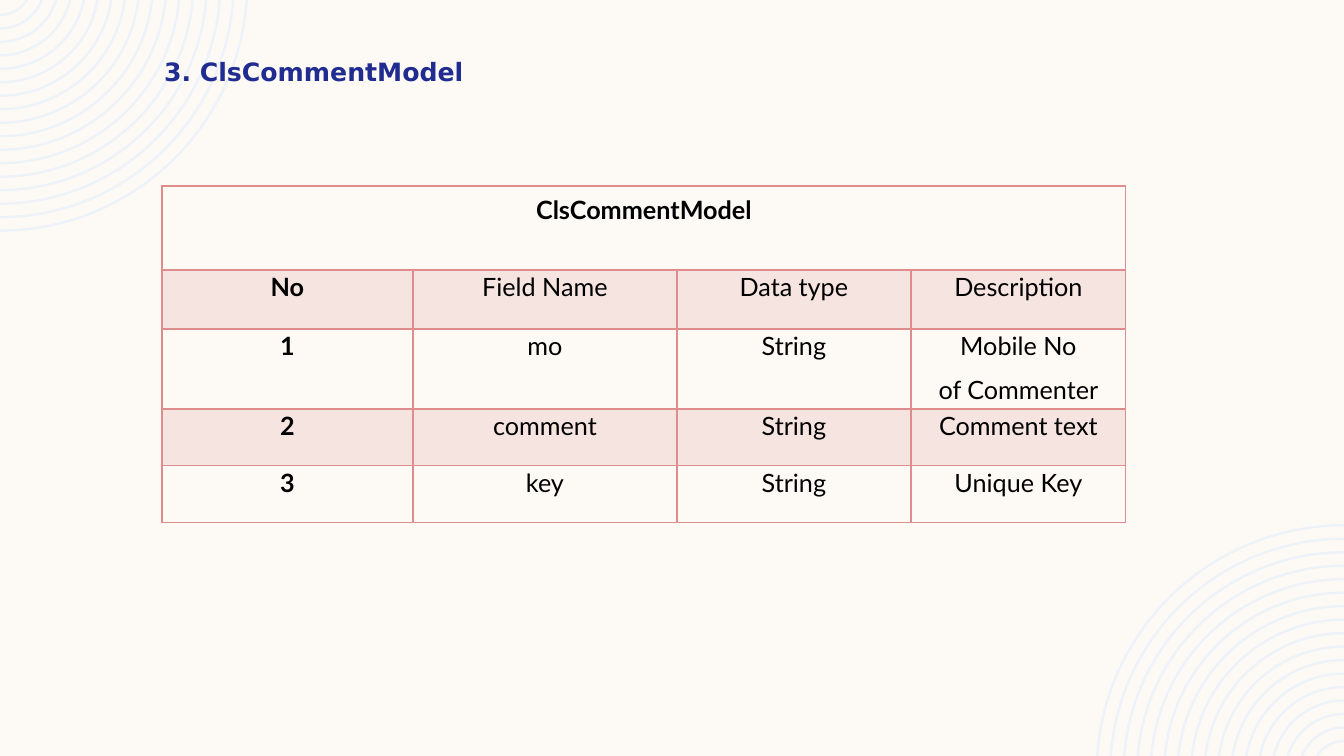
from dataclasses import dataclass
from math import acos, cos, sin, tan

from lxml.etree import SubElement
from pptx import Presentation
from pptx.dml.color import RGBColor as Rgb
from pptx.enum.text import MSO_ANCHOR as Anchor, MSO_AUTO_SIZE as Fit, PP_ALIGN as Align
from pptx.oxml import parse_xml
from pptx.oxml.ns import nsdecls, qn
from pptx.util import Pt

PX = 914400 / 100.8
WIDE, HIGH = 1344, 756
FINE = 100


@dataclass(frozen=True)
class Theme:
    paper: str = "FDFAF6"
    ring: str = "EEF3FA"
    title: str = "202C8F"
    ink: str = "000000"
    rose: str = "DE8C8C"
    tint: int = 20
    size: int = 18
    head: str = "DejaVu Sans"
    body: str = "Lato"


THEME = Theme()
COLS = [251, 264, 234, 215]
ROWS = [84, 59, 80, 57, 57]
FIELDS = [
    ["No", "Field Name", "Data type", "Description"],
    ["1", "mo", "String", "Mobile No\nof Commenter"],
    ["2", "comment", "String", "Comment text"],
    ["3", "key", "String", "Unique Key"],
]


def emu(px):
    return round(px * PX)


def style(frame, face, color, bold, align):
    for para in frame.paragraphs:
        para.alignment = align
        para.line_spacing = 1.07
        para.space_after = Pt(8)
        for run in para.runs:
            font = run.font
            font.name, font.size, font.bold = face, Pt(THEME.size), bold
            font.color.rgb = Rgb.from_string(color)


def inset(item, side, top):
    item.margin_left = item.margin_right = emu(side)
    item.margin_top = item.margin_bottom = emu(top)


def arc(rad, drop):
    turn = acos(drop / rad)
    pull = 4 / 3 * tan(turn / 4) * rad
    x, y = rad * sin(turn), rad * cos(turn) - drop
    return [(0, rad - drop), (pull, rad - drop),
            (x - pull * cos(turn), y + pull * sin(turn)), (x, y)]


def bend(shape):
    for track in shape.element.iter(qn("a:path")):
        lines = track.findall(qn("a:lnTo"))
        for base in range(0, len(lines), 7):
            for spot in (base, base + 4):
                curve = parse_xml(f'<a:cubicBezTo {nsdecls("a")}/>')
                lines[spot].addprevious(curve)
                for line in lines[spot:spot + 3]:
                    curve.append(line[0])
                    track.remove(line)


def add_rings(slide, flip):
    def place(point):
        x, y = point
        if flip:
            x, y = WIDE - x, HIGH - y
        return round(x * FINE), round(y * FINE)

    drop, pen = 16.6, None
    for ring in range(17):
        rad = 248.5 - 13.48 * ring
        edge = arc(rad, drop) + arc(rad - 2.5, drop)[::-1]
        first, *rest = [place(point) for point in edge]
        if pen is None:
            pen = slide.shapes.build_freeform(*first, scale=PX / FINE)
        else:
            pen.move_to(*first)
        pen.add_line_segments(rest, close=True)
    shape = pen.convert_to_shape()
    bend(shape)
    shape.shadow.inherit = False
    shape.fill.solid()
    shape.fill.fore_color.rgb = Rgb.from_string(THEME.ring)
    shape.line.fill.background()


def set_title(slide, text):
    title = slide.shapes.title
    title.left, title.top = emu(154), emu(49)
    title.width, title.height = emu(672), emu(82)
    frame = title.text_frame
    frame.text = text
    frame.word_wrap = True
    frame.auto_size = Fit.NONE
    frame.vertical_anchor = Anchor.TOP
    inset(frame, 10, 5)
    style(frame, THEME.head, THEME.title, True, Align.LEFT)
    title.element.getparent().append(title.element)


def set_edges(cell, row):
    props = cell._tc.get_or_add_tcPr()
    wide = {"T": 2 if row == 1 else 1, "B": 2 if row == 0 else 1}
    for spot, side in enumerate("LRTB"):
        props.insert(spot, parse_xml(
            f'<a:ln{side} {nsdecls("a")} w="{Pt(wide.get(side, 1))}">'
            f'<a:solidFill><a:srgbClr val="{THEME.rose}"/></a:solidFill>'
            f'</a:ln{side}>'))


def set_cell(cell, row, text, bold):
    cell.text_frame.text = text
    inset(cell, *((15, 7) if row == 0 else (11, 0)))
    cell.vertical_anchor = Anchor.TOP
    style(cell.text_frame, THEME.body, THEME.ink, bold, Align.CENTER)
    if row % 2:
        cell.fill.solid()
        cell.fill.fore_color.rgb = Rgb.from_string(THEME.rose)
        tone = cell._tc.tcPr.find(qn("a:solidFill"))[0]
        SubElement(tone, qn("a:alpha"), val=str(THEME.tint * 1000))
    else:
        cell.fill.background()
    set_edges(cell, row)


def add_grid(slide, name, fields):
    table = slide.shapes.add_table(
        len(ROWS), len(COLS), emu(162), emu(186),
        emu(sum(COLS)), emu(sum(ROWS))).table
    table.first_row = table.horz_banding = False
    for col, wide in zip(table.columns, COLS):
        col.width = emu(wide)
    for row, high in zip(table.rows, ROWS):
        row.height = emu(high)
    top = [name] + [""] * (len(COLS) - 1)
    for row, texts in enumerate([top] + fields):
        for col, text in enumerate(texts):
            set_cell(table.cell(row, col), row, text, col == 0)
    table.cell(0, 0).merge(table.cell(0, len(COLS) - 1))


def main():
    deck = Presentation()
    deck.slide_width, deck.slide_height = emu(WIDE), emu(HIGH)
    slide = deck.slides.add_slide(deck.slide_layouts[5])
    fill = slide.background.fill
    fill.solid()
    fill.fore_color.rgb = Rgb.from_string(THEME.paper)
    for flip in (False, True):
        add_rings(slide, flip)
    set_title(slide, "3. ClsCommentModel")
    add_grid(slide, "ClsCommentModel", FIELDS)
    deck.save("out.pptx")


if __name__ == "__main__":
    main()
